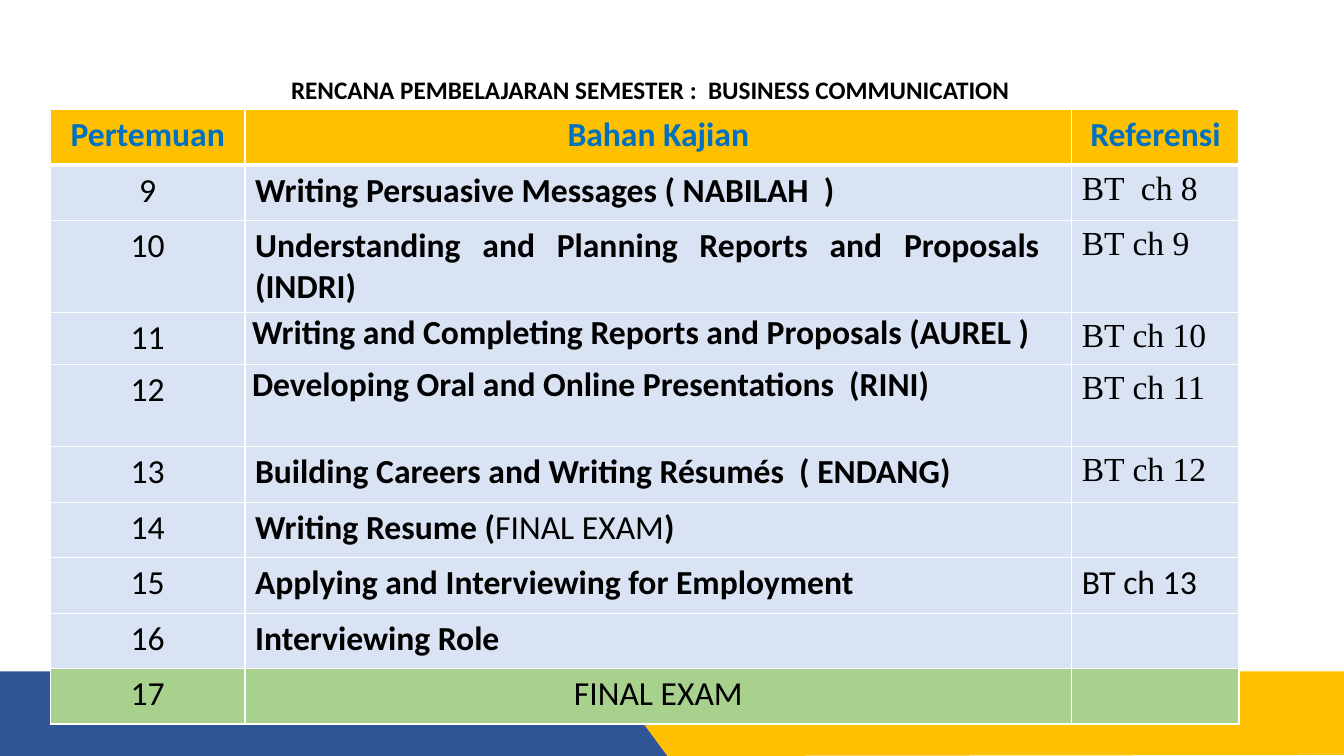
"""Build the semester lesson plan slide for Business Communication."""
from lxml import etree
from pptx import Presentation
from pptx.dml.color import RGBColor
from pptx.enum.text import PP_ALIGN
from pptx.oxml.ns import qn
from pptx.util import Inches, Pt

CENTER, JUSTIFY, LEFT = PP_ALIGN.CENTER, PP_ALIGN.JUSTIFY, PP_ALIGN.LEFT
BLUE, GOLD, WHITE, BLACK = "2F5597", "FFC000", "FFFFFF", "000000"
HEADING, PALE, GREEN = "0070C0", "DAE3F3", "A9D18E"
SANS, SERIF = "Calibri", "Times New Roman"

HEADINGS = ["Pertemuan", "Bahan Kajian", "Referensi"]
MEETINGS = [
    ("9", "Writing Persuasive Messages ( NABILAH  )", "BT  ch 8"),
    ("10", "Understanding and Planning Reports and Proposals  (INDRI)", "BT ch 9"),
    ("11", "Writing and Completing Reports and Proposals (AUREL )", "BT ch 10"),
    ("12", "Developing Oral and Online Presentations  (RINI)", "BT ch 11"),
    ("13", "Building Careers and Writing Résumés  ( ENDANG)", "BT ch 12"),
    ("14", ["Writing Resume (", "FINAL EXAM", ")"], ""),
    ("15", "Applying and Interviewing for Employment ", "BT ch 13"),
    ("16", "Interviewing Role ", ""),
]
EXAM = ("17", "FINAL EXAM", "")
COLUMN_WIDTHS = [1.93, 8.2, 1.66]
ROW_HEIGHT = 0.55
SPECIAL_HEIGHTS = {"10": 0.91, "11": 0.51, "12": 0.82}
TIGHT_TOPICS = ("11", "12")


def rgb(value):
    """Turn a hex string into a colour."""
    return RGBColor.from_string(value)


def style_run(run, size, bold, color=BLACK, font=SANS):
    """Format one run of text."""
    run.font.size = Pt(size)
    run.font.bold = bold
    run.font.name = font
    run.font.color.rgb = rgb(color)


def add_band(slide, corners, color):
    """Draw a filled footer band through the given corners."""
    points = [(Inches(x), Inches(y)) for x, y in corners]
    builder = slide.shapes.build_freeform(*points[0])
    builder.add_line_segments(points[1:], close=True)
    band = builder.convert_to_shape()
    band.shadow.inherit = False
    band.fill.solid()
    band.fill.fore_color.rgb = rgb(color)
    band.line.fill.background()


def add_title(slide, wording):
    """Add the centred heading above the table."""
    title = slide.shapes.add_textbox(Inches(1.12), Inches(0.69), Inches(10.66), Inches(0.4))
    title.text_frame.word_wrap = True
    title.text_frame.text = wording
    paragraph = title.text_frame.paragraphs[0]
    paragraph.alignment = CENTER
    style_run(paragraph.runs[0], 18, True)


def set_borders(cell, bottom_width):
    """Give a cell white borders with its own bottom width."""
    properties = cell._tc.get_or_add_tcPr()
    widths = {"a:lnL": 1, "a:lnR": 1, "a:lnT": 1, "a:lnB": bottom_width}
    for position, (tag, width) in enumerate(widths.items()):
        line = etree.Element(qn(tag), w=str(Pt(width)))
        solid = etree.SubElement(line, qn("a:solidFill"))
        etree.SubElement(solid, qn("a:srgbClr"), val=WHITE)
        properties.insert(position, line)


def fill_cell(cell, parts, fill, alignment, bold, color=BLACK, font=SANS, bottom_width=1):
    """Write a cell; in a list of parts, every second part is plain."""
    cell.fill.solid()
    cell.fill.fore_color.rgb = rgb(fill)
    set_borders(cell, bottom_width)
    paragraph = cell.text_frame.paragraphs[0]
    paragraph.alignment = alignment
    for index, part in enumerate([parts] if isinstance(parts, str) else parts):
        if part:
            run = paragraph.add_run()
            run.text = part
            style_run(run, 24, bold and index % 2 == 0, color, font)


def add_meeting(table, row, meeting):
    """Fill the row of one regular meeting."""
    number, topic, reference = meeting
    fill_cell(table.cell(row, 0), number, PALE, CENTER, False)
    topic_cell = table.cell(row, 1)
    fill_cell(topic_cell, topic, PALE, JUSTIFY, True)
    if number in TIGHT_TOPICS:
        topic_cell.margin_left = topic_cell.margin_right = Inches(0.07)
        topic_cell.margin_top = topic_cell.margin_bottom = 0
    reference_font = SANS if number == "15" else SERIF
    fill_cell(table.cell(row, 2), reference, PALE, LEFT, False, font=reference_font)


def add_plan(slide):
    """Add the table of meetings, topics and references."""
    numbers = ["", *(meeting[0] for meeting in MEETINGS), EXAM[0]]
    heights = [SPECIAL_HEIGHTS.get(number, ROW_HEIGHT) for number in numbers]
    table = slide.shapes.add_table(
        len(heights), len(COLUMN_WIDTHS), Inches(0.5), Inches(1.09),
        Inches(sum(COLUMN_WIDTHS)), Inches(sum(heights))).table
    table.horz_banding = False
    for column, width in zip(table.columns, COLUMN_WIDTHS):
        column.width = Inches(width)
    for row, height in zip(table.rows, heights):
        row.height = Inches(height)
    for column, heading in enumerate(HEADINGS):
        fill_cell(table.cell(0, column), heading, GOLD, CENTER, True, HEADING, bottom_width=3)
    for row, meeting in enumerate(MEETINGS, start=1):
        add_meeting(table, row, meeting)
    for column, wording in enumerate(EXAM):
        fill_cell(table.cell(len(heights) - 1, column), wording, GREEN, CENTER, False)


def main():
    """Build and save the slide."""
    presentation = Presentation()
    presentation.slide_width = Inches(13.33)
    presentation.slide_height = Inches(7.5)
    slide = presentation.slides.add_slide(presentation.slide_layouts[6])
    add_band(slide, [(0, 7.5), (7.33, 7.5), (6.71, 6.66), (0, 6.66)], BLUE)
    add_band(slide, [(13.33, 6.66), (6, 6.66), (6.62, 7.5), (13.33, 7.49)], GOLD)
    add_plan(slide)
    add_title(slide, "RENCANA PEMBELAJARAN SEMESTER :  BUSINESS COMMUNICATION")
    presentation.save("out.pptx")


if __name__ == "__main__":
    main()
